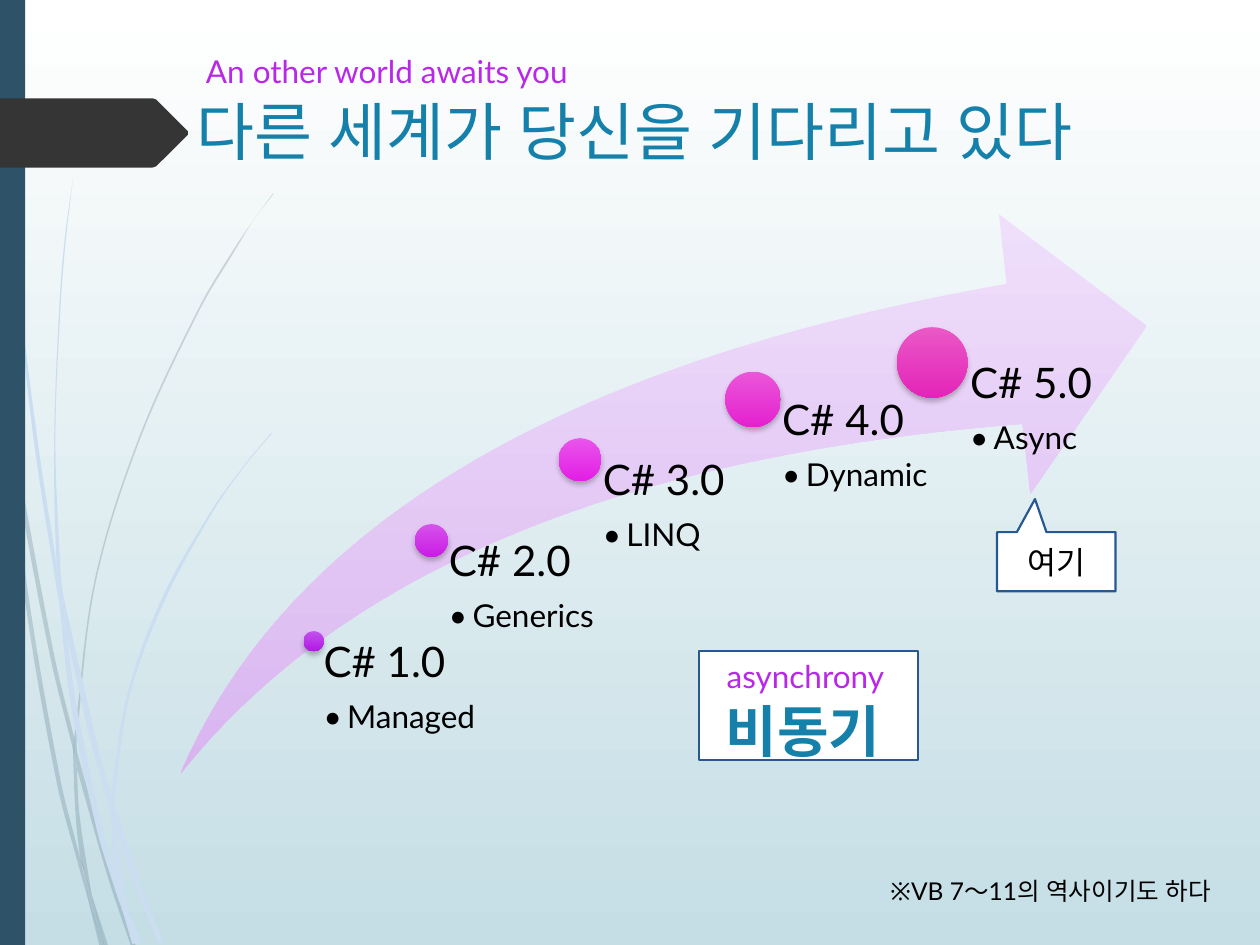
from dataclasses import dataclass
from math import hypot

from lxml import etree
from pptx import Presentation
from pptx.dml.color import RGBColor
from pptx.enum.shapes import MSO_SHAPE
from pptx.enum.text import MSO_ANCHOR, MSO_AUTO_SIZE, PP_ALIGN
from pptx.oxml.ns import qn
from pptx.util import Pt

RECT, OVAL = MSO_SHAPE.RECTANGLE, MSO_SHAPE.OVAL
SWOOSH, CALLOUT = MSO_SHAPE.SWOOSH_ARROW, MSO_SHAPE.RECTANGULAR_CALLOUT
LEFT, CENTER, JUSTIFY = PP_ALIGN.LEFT, PP_ALIGN.CENTER, PP_ALIGN.JUSTIFY
TOP, MIDDLE = MSO_ANCHOR.TOP, MSO_ANCHOR.MIDDLE
FIT_SHAPE, NO_FIT = MSO_AUTO_SIZE.SHAPE_TO_FIT_TEXT, MSO_AUTO_SIZE.NONE
TITLE_ONLY = 5


@dataclass(frozen=True)
class Theme:
    font: str = "Lato"
    ink: str = "000000"
    teal: str = "1581AA"
    violet: str = "B927E9"
    navy: str = "2E5369"
    pale_blue: str = "CBDDF1"
    charcoal: str = "353535"
    paper: str = "FFFFFF"
    outline: str = "265991"
    backdrop: tuple = ("FFFFFF", "C5DEE5")
    arrow: tuple = ("EFDFFA", "D9B5F0")
    title: int = 36
    term: int = 32
    version: int = 24
    body: int = 18
    note: int = 14


THEME = Theme()

# Curved wisps: each piece has an outward and a return edge, on a 0.72 pt grid
GRID = 0.72
DARK_WISPS = [
    ([(0, 282), (6, 322), (8, 350)], [(7, 344), (0, 299)]),
    ([(10, 345), (43, 520), (59, 586)], [(59, 599), (40, 522), (12, 376)]),
    ([(61, 610), (85, 694), (104, 751)], [(108, 751), (88, 692), (64, 607), (61, 596)]),
    ([(73, 711), (83, 751)], [(86, 751)]),
    ([(8, 350), (12, 376), (22, 469), (48, 619), (64, 683), (69, 707), (70, 714)],
     [(64, 693), (45, 621), (19, 470), (8, 350)]),
    ([(58, 599), (60, 646), (64, 683), (67, 692), (73, 711)],
     [(72, 706), (63, 646), (61, 610)]),
    ([(61, 596), (61, 584), (76, 462), (111, 349), (159, 245), (187, 198), (201, 175), (217, 154)],
     [(217, 153), (201, 175), (186, 197), (158, 244), (110, 348), (75, 461), (59, 584), (59, 586)]),
    ([(70, 714), (79, 751)], [(82, 751)]),
    ([(61, 608), (61, 596)], [(59, 586), (58, 599)]),
    ([(65, 683), (69, 707), (70, 714), (82, 751)], [(83, 751), (73, 711), (67, 692)]),
]
LIGHT_WISPS = [
    ([(2, -4), (3, 44), (5, 106), (14, 229), (27, 351), (46, 473), (47, 477)],
     [(45, 453), (45, 449), (30, 351), (15, 228), (6, 105), (4, 44), (3, -4)]),
    ([(50, 472), (77, 590), (88, 631)], [(88, 645), (73, 592), (53, 505)]),
    ([(91, 641), (94, 649), (113, 706), (130, 749)], [(126, 749), (109, 708), (91, 656)]),
    ([(47, 477), (53, 505), (60, 556), (81, 657), (91, 691), (96, 717), (97, 722)],
     [(92, 708), (77, 659), (56, 557), (47, 477)]),
    ([(58, 141), (52, 193), (48, 245), (44, 349), (48, 453), (50, 472)],
     [(49, 472), (45, 449), (43, 349), (47, 245), (51, 193), (58, 141)]),
    ([(100, 719), (110, 749)], [(113, 749)]),
    ([(45, 449), (47, 477), (53, 505)], [(50, 472), (49, 472)]),
    ([(91, 641), (91, 633), (103, 552), (131, 476), (169, 406), (191, 374), (203, 359), (216, 344)],
     [(215, 344), (203, 358), (191, 373), (168, 405), (129, 474), (101, 551), (88, 631)]),
    ([(97, 722), (105, 749)], [(108, 749)]),
    ([(88, 645), (91, 691), (96, 706), (100, 719)], [(100, 716), (91, 656), (90, 651)]),
    ([(88, 631), (88, 645), (91, 656)], [(91, 641)]),
    ([(91, 691), (96, 717), (97, 722), (108, 749)], [(110, 749), (100, 719), (96, 706)]),
]
TITLE_TAB = [(0, 78), (121, 78), (124, 79), (149, 104), (149, 107),
             (124, 132), (121, 133), (0, 133)]

# Version, feature, dot (left, top, diameter), label (width, height, inset), dot colours
MILESTONES = [
    ("C# 1.0", "Managed", (173.5, 360.7, 11.5), (101.5, 76.3, 5.6), ("C052EB", "B219E4")),
    ("C# 2.0", "Generics", (237.2, 299.5, 18.7), (96.5, 134, 10), ("D553EB", "CB1BE5")),
    ("C# 3.0", "LINQ", (319.2, 250.4, 24.5), (98.6, 180, 13), ("E955EB", "E31EE5")),
    ("C# 4.0", "Dynamic", (414.5, 212.4, 31.7), (102.2, 214.6, 16.6), ("EB56D9", "E421CF")),
    ("C# 5.0", "Async", (512.6, 187, 40.3), (102.2, 235.4, 21.6), ("EA58C6", "E424B9")),
]


def rgb(code):
    return RGBColor.from_string(code)


def paint(fill, colors):
    """Solid for one colour, downward gradient for a pair."""
    if isinstance(colors, str):
        fill.solid()
        fill.fore_color.rgb = rgb(colors)
        return
    fill.gradient()
    fill.gradient_angle = 270
    for stop, color, position in zip(fill.gradient_stops, colors, (0, 1)):
        stop.color.rgb = rgb(color)
        stop.position = position


def finish(shape, colors, outline=None):
    shape.shadow.inherit = False
    paint(shape.fill, colors)
    if outline:
        shape.line.color.rgb = rgb(outline)
        shape.line.width = Pt(1.25)
    else:
        shape.line.fill.background()


def add_preset(slide, preset, box, colors, outline=None, adjust=()):
    shape = slide.shapes.add_shape(preset, *map(Pt, box))
    finish(shape, colors, outline)
    for index, value in enumerate(adjust):
        shape.adjustments[index] = value
    return shape


def add_outline(slide, points, color):
    first, *rest = [(Pt(x * GRID), Pt(y * GRID)) for x, y in points]
    builder = slide.shapes.build_freeform(*first)
    builder.add_line_segments(rest, close=True)
    shape = builder.convert_to_shape()
    finish(shape, color)
    return shape


def edge_handles(edge):
    """Two Bezier handles for each step along an edge."""
    headings = []
    for i in range(len(edge)):
        (ax, ay), (bx, by) = edge[max(i - 1, 0)], edge[min(i + 1, len(edge) - 1)]
        length = hypot(bx - ax, by - ay) or 1
        headings.append(((bx - ax) / length, (by - ay) / length))
    handles = []
    for p, q, u, v in zip(edge, edge[1:], headings, headings[1:]):
        reach = hypot(q[0] - p[0], q[1] - p[1]) / 3
        handles.append(((p[0] + u[0] * reach, p[1] + u[1] * reach),
                        (q[0] - v[0] * reach, q[1] - v[1] * reach)))
    return handles


def add_wisp(slide, outward, back, color, alpha):
    shape = add_outline(slide, outward + back, color)
    # Bend every step except the straight one that joins the two edges
    steps = list(shape._element.iter(qn("a:lnTo")))
    bends = edge_handles(outward) + [None] + edge_handles(back)
    for step, bend in zip(steps, bends):
        if bend:
            step.tag = qn("a:cubicBezTo")
            for index, (x, y) in enumerate(bend):
                handle = etree.Element(qn("a:pt"), x=str(Pt(x * GRID) - shape.left),
                                       y=str(Pt(y * GRID) - shape.top))
                step.insert(index, handle)
    if alpha:
        tint = shape._element.spPr.find(".//" + qn("a:srgbClr"))
        etree.SubElement(tint, qn("a:alpha"), val=str(alpha * 1000))


def add_soft_shadow(shape):
    effects = shape._element.spPr.find(qn("a:effectLst"))
    shadow = etree.SubElement(effects, qn("a:outerShdw"), blurRad=str(Pt(3)),
                              dist=str(Pt(2)), dir="5400000", rotWithShape="0")
    black = etree.SubElement(shadow, qn("a:srgbClr"), val=THEME.ink)
    etree.SubElement(black, qn("a:alpha"), val="25000")


def style(paragraph, size, color, bold=False):
    for run in paragraph.runs:
        run.font.name = THEME.font
        run.font.size = Pt(size)
        run.font.color.rgb = rgb(color)
        run.font.bold = bold
        etree.SubElement(run.font._rPr, qn("a:ea"), typeface=THEME.font)


def write(shape, text, size, color, bold=False, align=LEFT):
    shape.text_frame.text = text
    paragraph = shape.text_frame.paragraphs[0]
    paragraph.alignment = align
    style(paragraph, size, color, bold)


def add_label(slide, box, text, size, color, bold=False, align=LEFT, wrap=False):
    label = slide.shapes.add_textbox(*map(Pt, box))
    label.text_frame.word_wrap = wrap
    label.text_frame.auto_size = FIT_SHAPE
    write(label, text, size, color, bold, align)


def add_milestone(slide, version, feature, dot, label, colors):
    left, top, diameter = dot
    width, height, inset = label
    add_soft_shadow(add_preset(slide, OVAL, (left, top, diameter, diameter), colors))
    # The label hangs from the centre of its dot
    box = (left + diameter / 2, top + diameter / 2, width, height)
    caption = slide.shapes.add_textbox(*map(Pt, box))
    frame = caption.text_frame
    frame.word_wrap = True
    frame.margin_left = Pt(inset)
    frame.margin_top = frame.margin_right = frame.margin_bottom = 0
    write(caption, version, THEME.version, THEME.ink)
    item = frame.add_paragraph()
    item.text = feature
    item.level = 1
    props = item._p.get_or_add_pPr()
    props.set("marL", str(Pt(13.5)))
    props.set("indent", str(Pt(-13.5)))
    etree.SubElement(props, qn("a:buFont"), typeface=THEME.font)
    etree.SubElement(props, qn("a:buChar"), char="•")
    style(item, THEME.body, THEME.ink)
    for paragraph, share in zip(frame.paragraphs, (THEME.version * 0.35, THEME.body * 0.15)):
        paragraph.line_spacing = 0.9
        paragraph.space_after = Pt(share)


def main():
    deck = Presentation()
    deck.slide_width, deck.slide_height = Pt(720), Pt(540)
    slide = deck.slides.add_slide(deck.slide_layouts[TITLE_ONLY])

    # Backdrop, wisps, side bar and title tab
    paint(slide.background.fill, THEME.backdrop)
    for wisps, color, alpha in ((DARK_WISPS, THEME.navy, 20), (LIGHT_WISPS, THEME.pale_blue, None)):
        for outward, back in wisps:
            add_wisp(slide, outward, back, color, alpha)
    add_preset(slide, RECT, (0, 0, 14.4, 540), THEME.navy)
    add_outline(slide, TITLE_TAB, THEME.charcoal)

    # Heading
    add_label(slide, (110.6, 26.2, 504.7, 28.8), "An other world awaits you",
              THEME.body, THEME.violet, align=JUSTIFY, wrap=True)
    title = slide.shapes.title
    title.left, title.top, title.width, title.height = map(Pt, (105.1, 49, 565.2, 50.4))
    write(title, "다른 세계가 당신을 기다리고 있다", THEME.title, THEME.teal)
    title.text_frame.auto_size = NO_FIT
    title.text_frame.vertical_anchor = TOP

    # Version timeline
    add_preset(slide, SWOOSH, (103.2, 122.4, 552, 319.5), THEME.arrow, adjust=(0.25, 0.25))
    for milestone in MILESTONES:
        add_milestone(slide, *milestone)

    # "Here" callout, key term and footnote
    here = add_preset(slide, CALLOUT, (569.8, 304.1, 67.7, 33.8), THEME.paper,
                      THEME.outline, adjust=(-0.18, -1.06))
    write(here, "여기", THEME.body, THEME.ink, align=CENTER)
    here.text_frame.vertical_anchor = MIDDLE
    add_preset(slide, RECT, (399.6, 372.2, 124.8, 62.3), THEME.paper, THEME.outline)
    add_label(slide, (407.5, 394.6, 111.6, 46), "비동기", THEME.term, THEME.teal, bold=True)
    add_label(slide, (408.2, 372.2, 105.1, 28.8), "asynchrony", THEME.body, THEME.violet)
    add_label(slide, (501.8, 496.8, 211, 24.5), "※VB 7～11의 역사이기도 하다",
              THEME.note, THEME.ink)

    deck.save("out.pptx")


if __name__ == "__main__":
    main()
